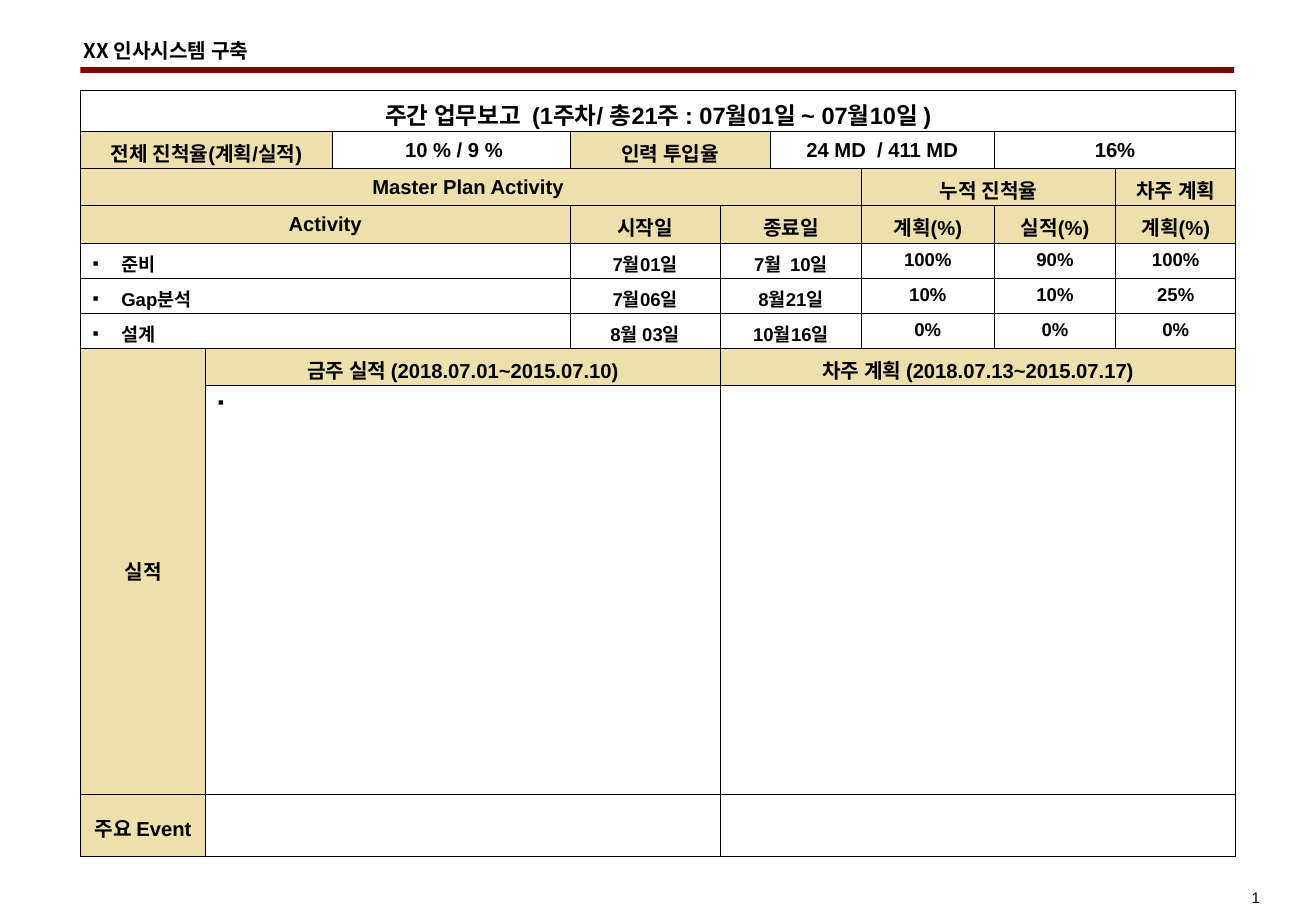
from lxml import etree
from pptx import Presentation
from pptx import util as u
from pptx.dml.color import RGBColor
from pptx.enum import shapes, text
from pptx.oxml.ns import qn

Pt = u.Pt
MID, LEFT, RIGHT = text.PP_ALIGN.CENTER, text.PP_ALIGN.LEFT, text.PP_ALIGN.RIGHT
SAND, WHITE = "EEE0AC", "FFFFFF"
COLS = [74.2, 75.2, 140.8, 89.3, 29.5, 54, 78.8, 72, 71.2]
ROWS = [24.4, 22, 22, 22, 20.8, 20.8, 20.8, 22.4, 242, 36.8]


def color(code):
    return RGBColor.from_string(code)


class Report:
    latin, hangul, ink = "Arial", "Noto Sans CJK KR", "000000"

    def __init__(self, deck):
        self.slide = deck.slides.add_slide(deck.slide_layouts[6])

    def style(self, par, size, bold, align, latin=None):
        par.alignment = align
        for run in par.runs:
            font = run.font
            font.name, font.size, font.bold = latin or self.latin, Pt(size), bold
            font.color.rgb = color(self.ink)
            east = etree.Element(qn("a:ea"), typeface=self.hangul)
            font._element.find(qn("a:latin")).addnext(east)

    def label(self, words, box, size, bold, align, latin=None):
        shape = self.slide.shapes.add_textbox(*map(Pt, box))
        frame = shape.text_frame
        frame.text = words
        frame.word_wrap = False
        frame.margin_top = frame.margin_bottom = Pt(1.4)
        frame.vertical_anchor = text.MSO_ANCHOR.MIDDLE
        self.style(frame.paragraphs[0], size, bold, align, latin)

    def bar(self, box, fill):
        shape = self.slide.shapes.add_shape(shapes.MSO_SHAPE.RECTANGLE, *map(Pt, box))
        shape.shadow.inherit = False
        shape.fill.solid()
        shape.fill.fore_color.rgb = color(fill)
        shape.line.fill.background()

    def grid(self, left, top):
        box = map(Pt, (left, top, sum(COLS), sum(ROWS)))
        table = self.slide.shapes.add_table(len(ROWS), len(COLS), *box).table
        table.first_row = table.horz_banding = False
        for col, width in zip(table.columns, COLS):
            col.width = Pt(width)
        for row, height in zip(table.rows, ROWS):
            row.height = Pt(height)
        for cell in table.iter_cells():
            self.frame(cell)
        return table

    def frame(self, cell):
        """Give a cell its margins, white fill and thin black borders."""
        cell.margin_top = cell.margin_bottom = Pt(3.6)
        cell.vertical_anchor = text.MSO_ANCHOR.MIDDLE
        cell.fill.solid()
        cell.fill.fore_color.rgb = color(WHITE)
        props = cell._tc.get_or_add_tcPr()
        for spot, side in enumerate("LRTB"):
            line = etree.Element(qn("a:ln" + side), w=str(Pt(0.45)))
            fill = etree.SubElement(line, qn("a:solidFill"))
            etree.SubElement(fill, qn("a:srgbClr"), val=self.ink)
            props.insert(spot, line)

    def fill(self, table, row, entries, size=12):
        """Place (columns spanned, words, fill) entries along one row."""
        col = 0
        for span, words, shade in entries:
            cell = table.cell(row, col)
            if span > 1:
                cell.merge(table.cell(row, col + span - 1))
            if words:
                cell.text_frame.text = words
                self.style(cell.text_frame.paragraphs[0], size, True, MID)
            if not words.isascii():  # Hangul lines are taller
                cell.margin_bottom = Pt(0.4)
            cell.fill.fore_color.rgb = color(shade)
            col += span

    def bullet(self, cell):
        par = cell.text_frame.paragraphs[0]
        par.alignment = LEFT
        props = par._p.get_or_add_pPr()
        props.set("marL", str(Pt(17)))
        props.set("indent", str(-Pt(17)))
        tint = etree.SubElement(props, qn("a:buClr"))
        etree.SubElement(tint, qn("a:srgbClr"), val=self.ink)
        etree.SubElement(props, qn("a:buSzPct"), val="95000")
        etree.SubElement(props, qn("a:buFont"), typeface=self.latin)
        etree.SubElement(props, qn("a:buChar"), char="▪")


def main():
    deck = Presentation()
    deck.slide_width, deck.slide_height = Pt(780.13), Pt(540)
    page = Report(deck)
    page.label("1 ", (699, 523, 57.6, 18), 9, False, RIGHT)
    page.bar((47.7, 39.8, 684, 3.4), "800000")

    table = page.grid(47.7, 53.6)
    page.fill(table, 0, [(9, "주간 업무보고  (1주차/ 총21주 : 07월01일 ~ 07월10일 )", WHITE)], 14)
    page.fill(table, 1, [(2, "전체 진척율(계획/실적)", SAND), (1, "  10 % / 9 % ", WHITE),
                         (2, "인력 투입율", SAND), (2, "24 MD  / 411 MD", WHITE),
                         (2, "16%", WHITE)])
    page.fill(table, 2, [(6, "Master Plan Activity ", SAND), (2, "누적 진척율", SAND),
                         (1, "차주 계획", SAND)])
    spans = (3, 1, 2, 1, 1, 1)
    heads = ("Activity", "시작일", "종료일", "계획(%)", "실적(%)", "계획(%)")
    page.fill(table, 3, [(span, head, SAND) for span, head in zip(spans, heads)])

    tasks = [("준비", "7월01일", "7월  10일", "100%", "90%", "100%"),
             ("Gap분석", "7월06일", "8월21일", "10%", "10%", "25%"),
             ("설계", "8월 03일", "10월16일", "0%", "0%", "0%")]
    for row, task in enumerate(tasks, 4):
        page.fill(table, row, [(span, word, WHITE) for span, word in zip(spans, task)], 11)
        page.bullet(table.cell(row, 0))

    page.fill(table, 7, [(1, "실적", SAND), (3, "금주 실적 (2018.07.01~2015.07.10)", SAND),
                         (5, "차주 계획 (2018.07.13~2015.07.17)", SAND)])
    page.fill(table, 8, [(1, "", SAND), (3, " ", WHITE), (5, "", WHITE)], 11)
    result = table.cell(7, 0)
    result.merge(table.cell(8, 0))
    result.margin_bottom = Pt(3.6)
    done = table.cell(8, 1)
    done.vertical_anchor = text.MSO_ANCHOR.TOP
    page.bullet(done)
    page.fill(table, 9, [(1, "주요 Event", SAND), (3, "", WHITE), (5, "", WHITE)])

    page.label("XX 인사시스템 구축", (42.5, 21.5, 117, 17), 12, True, LEFT, page.hangul)
    deck.save("out.pptx")


if __name__ == "__main__":
    main()
